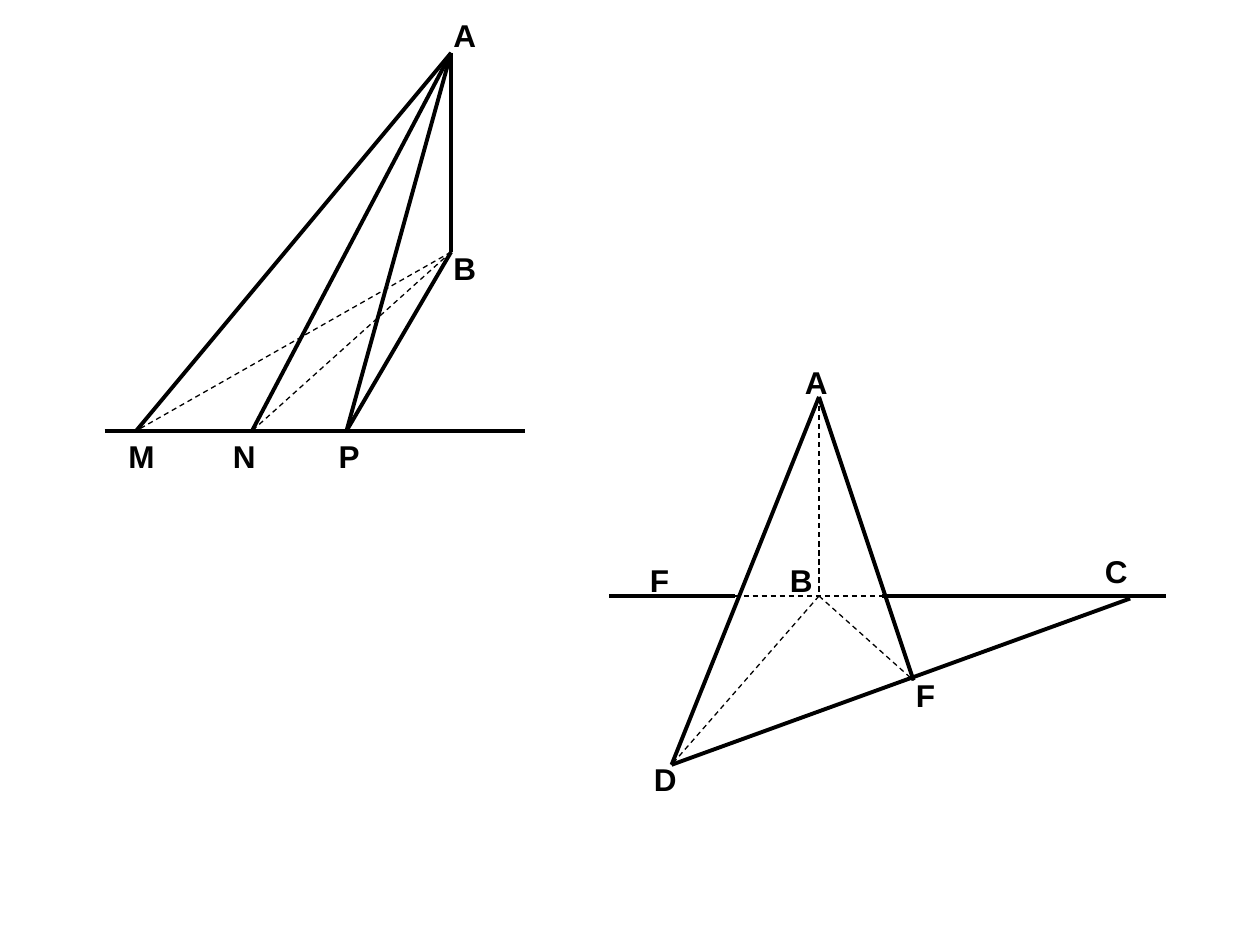
from pptx import Presentation
from pptx.dml.color import RGBColor
from pptx.enum.dml import MSO_LINE
from pptx.enum.shapes import MSO_CONNECTOR
from pptx.enum.text import MSO_AUTO_SIZE
from pptx.oxml.ns import qn
from pptx.util import Inches, Pt
from lxml.etree import SubElement


def color(hex_string):
    return RGBColor.from_string(hex_string)


class GeometrySlide:
    """Draws labelled line figures, each in a group of its own."""

    FONT = "Arial"
    LABEL_SIZE = 18
    INK = "000000"
    SOLID_WIDTH = 2.25
    DASH_WIDTH = 0.75

    def __init__(self, presentation):
        self.slide = presentation.slides.add_slide(presentation.slide_layouts[6])
        self.group = None

    def start_figure(self):
        self.group = self.slide.shapes.add_group_shape()

    def line(self, start, end, dashed=False):
        connector = self.group.shapes.add_connector(
            MSO_CONNECTOR.STRAIGHT, *(Inches(value) for value in start + end))
        connector.line.color.rgb = color(self.INK)
        connector.line.width = Pt(self.DASH_WIDTH if dashed else self.SOLID_WIDTH)
        if dashed:
            connector.line.dash_style = MSO_LINE.DASH
        SubElement(connector.element.spPr, qn("a:effectLst"))

    def label(self, text, left, top, width=0.38):
        shape = self.group.shapes.add_textbox(
            Inches(left), Inches(top), Inches(width), Inches(0.4))
        text_frame = shape.text_frame
        text_frame.text = text
        text_frame.word_wrap = False
        text_frame.auto_size = MSO_AUTO_SIZE.SHAPE_TO_FIT_TEXT
        font = text_frame.paragraphs[0].runs[0].font
        font.name = self.FONT
        font.size = Pt(self.LABEL_SIZE)
        font.bold = True
        font.color.rgb = color(self.INK)


def draw_oblique_lines(page):
    page.start_figure()
    a, b = (3.58, 0.42), (3.58, 2)
    m, n, p = ((x, 3.42) for x in (1.08, 2, 2.75))
    page.line((0.83, 3.42), (4.17, 3.42))
    page.line(b, m, dashed=True)
    page.line(b, p)
    page.line(b, n, dashed=True)
    for end in (b, m, n, p):
        page.line(a, end)
    page.label("A", 3.5, 0.08)
    page.label("M", 0.92, 3.42, 0.41)
    page.label("N", 1.75, 3.42)
    page.label("P", 2.59, 3.42, 0.36)
    page.label("B", 3.5, 1.93)


def draw_tetrahedron(page):
    page.start_figure()
    a, b, c = (6.5, 3.15), (6.5, 4.73), (8.97, 4.75)
    d, f = (5.33, 6.07), (7.25, 5.4)
    page.line(a, d)
    page.line(d, c)
    page.line(a, b, dashed=True)
    page.line(b, f, dashed=True)
    page.line(a, f)
    page.line((5.83, 4.73), (7.08, 4.73), dashed=True)
    page.line(b, d, dashed=True)
    page.line((7, 4.73), (9.25, 4.73))
    page.line((5.83, 4.73), (4.83, 4.73))
    page.label("A", 6.29, 2.83)
    page.label("B", 6.17, 4.4)
    page.label("D", 5.09, 5.98)
    page.label("F", 7.17, 5.32, 0.35)
    page.label("C", 8.67, 4.33)
    page.label("F", 5.06, 4.4, 0.35)


def main():
    presentation = Presentation()
    presentation.slide_width = Inches(10)
    presentation.slide_height = Inches(7.5)
    page = GeometrySlide(presentation)
    draw_oblique_lines(page)
    draw_tetrahedron(page)
    presentation.save("out.pptx")


if __name__ == "__main__":
    main()
